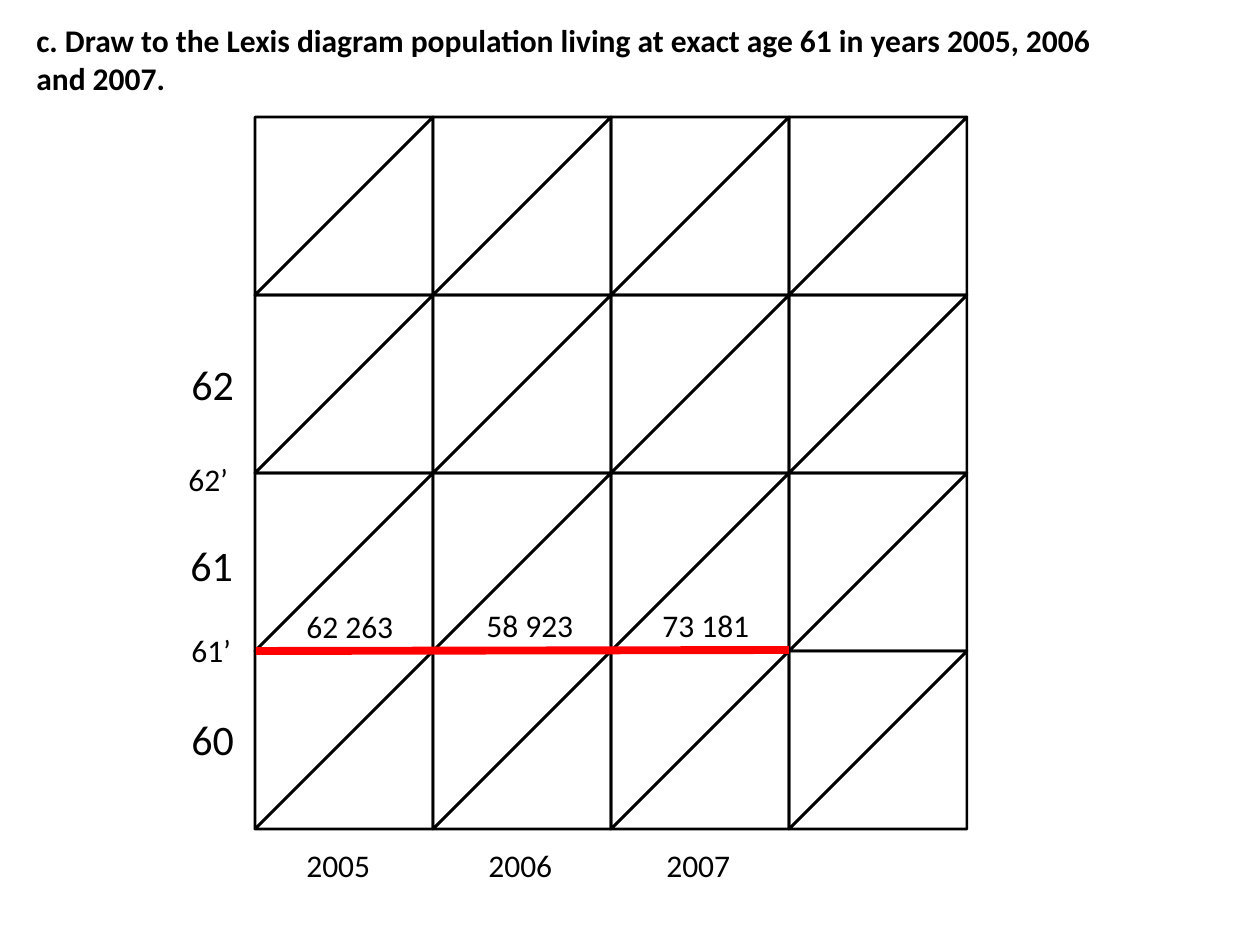
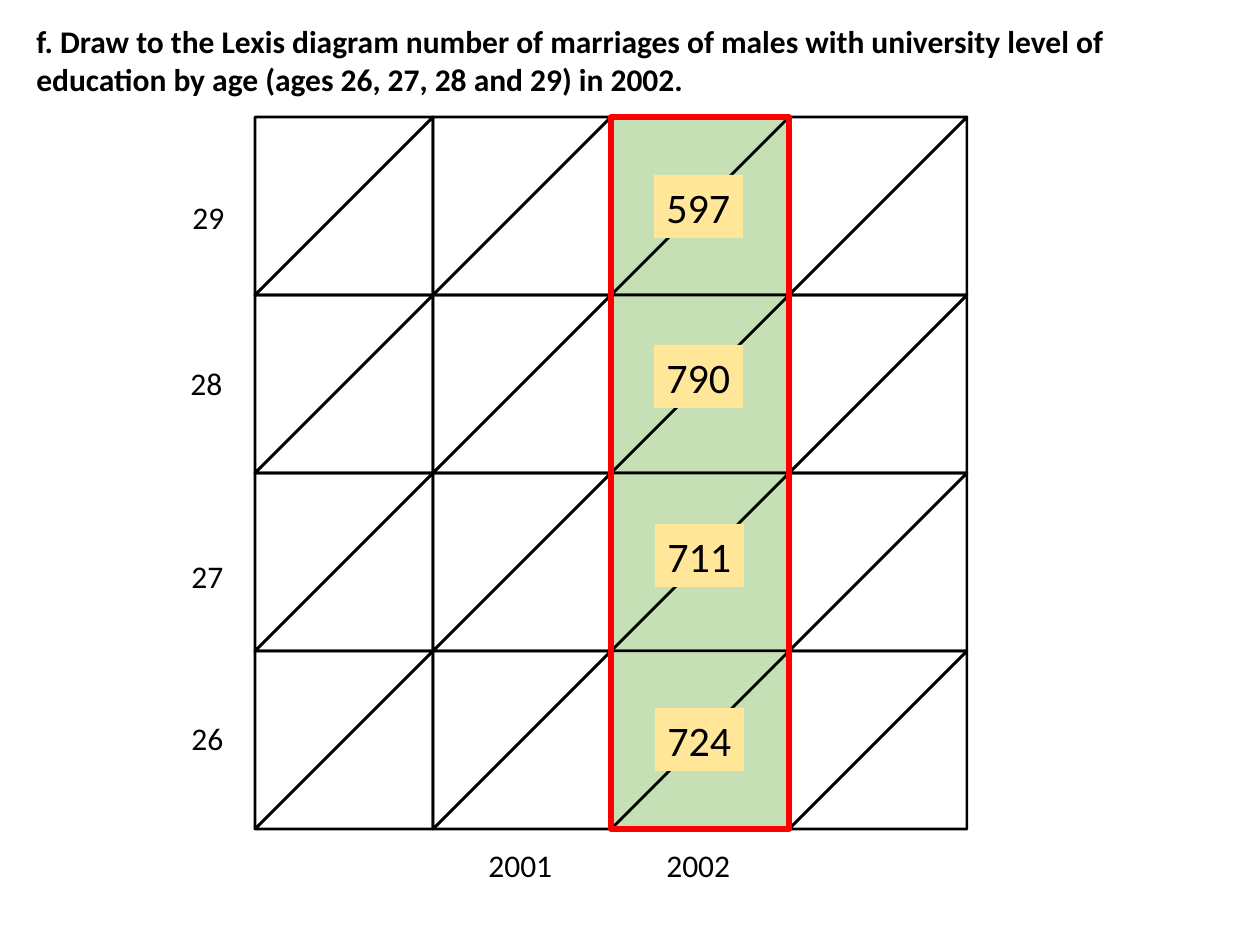
from lxml import etree
from pptx import Presentation
from pptx.dml.color import RGBColor
from pptx.enum.shapes import MSO_CONNECTOR, MSO_SHAPE
from pptx.enum.text import MSO_AUTO_SIZE
from pptx.oxml.ns import qn
from pptx.util import Emu, Pt

TRIANGLE = MSO_SHAPE.RIGHT_TRIANGLE
RECTANGLE = MSO_SHAPE.RECTANGLE
STRAIGHT = MSO_CONNECTOR.STRAIGHT
FIT_SHAPE = MSO_AUTO_SIZE.SHAPE_TO_FIT_TEXT

PX_PER_INCH = 126
BLACK, RED, GREEN, YELLOW = "000000", "FF0000", "C5E0B4", "FFE699"
GRID_LEFT, GRID_TOP, CELL, CELL_COUNT = 255, 117, 178, 4
YEAR_TOP = 840


def px(length):
    return Emu(round(length * 914400 / PX_PER_INCH))


def color(hex_string):
    return RGBColor.from_string(hex_string)


class LexisDeck:
    """Holds the text style and the slide being drawn."""

    font = "Calibri"

    def __init__(self):
        self.deck = Presentation()
        self.deck.slide_width = px(10 * PX_PER_INCH)
        self.deck.slide_height = px(945)
        self.page = None

    def new_page(self):
        self.page = self.deck.slides.add_slide(self.deck.slide_layouts[6])

    def text(self, words, left, top, width, height, size=18, bold=False, wrap=False, fill=None):
        box = self.page.shapes.add_textbox(px(left), px(top), px(width), px(height))
        if fill:
            box.fill.solid()
            box.fill.fore_color.rgb = color(fill)
        frame = box.text_frame
        frame.text = words
        frame.word_wrap = wrap
        frame.auto_size = FIT_SHAPE
        font = frame.paragraphs[0].runs[0].font
        font.name, font.size, font.bold = self.font, Pt(size), bold
        font.color.rgb = color(BLACK)

    def title(self, words, top):
        self.text(words, 24, top, 1094, 89, bold=True, wrap=True)

    def year(self, words, left):
        self.text(words, left, YEAR_TOP, 89, 50)

    def shape(self, kind, left, top, width, height, line, weight, fill=None, rotation=0):
        shape = self.page.shapes.add_shape(kind, px(left), px(top), px(width), px(height))
        shape.shadow.inherit = False
        shape.rotation = rotation
        if fill:
            shape.fill.solid()
            shape.fill.fore_color.rgb = color(fill)
        else:
            shape.fill.background()
        shape.line.color.rgb = color(line)
        shape.line.width = Pt(weight)

    def line(self, start, end, line, weight):
        connector = self.page.shapes.add_connector(STRAIGHT, *map(px, start + end))
        connector.line.color.rgb = color(line)
        connector.line.width = Pt(weight)
        etree.SubElement(connector._element.spPr, qn("a:effectLst"))

    def lexis_grid(self, filled_column=None):
        """Draws square cells, each split by a rising diagonal into two triangles."""
        for column in range(CELL_COUNT):
            fill = GREEN if column == filled_column else None
            for row in range(CELL_COUNT):
                left, top = GRID_LEFT + column * CELL, GRID_TOP + row * CELL
                for rotation in (270, 90):
                    self.shape(TRIANGLE, left, top, CELL, CELL, BLACK, 1.5, fill, rotation)


def draw_population(lexis):
    lexis.new_page()
    lexis.lexis_grid()
    lexis.title("c. Draw to the Lexis diagram population living at exact age 61 "
                "in years 2005, 2006 and 2007.", 15)
    for age, left, top in (("60", 179, 707), ("61", 178, 533), ("62", 179, 352)):
        lexis.text(age, left, top, 68, 63, size=24)
    for exact_age, left, top in (("61’", 179, 625), ("62’", 176, 454)):
        lexis.text(exact_age, left, top, 66, 50)
    lexis.line((789, 650), (256, 651), RED, 4.5)
    for year, year_left, population, left, top in (
        ("2005", 294, "62 263", 294, 601),
        ("2006", 476, "58 923", 474, 600),
        ("2007", 654, "73 181", 650, 600),
    ):
        lexis.year(year, year_left)
        lexis.text(population, left, top, 113, 50)


def draw_marriages(lexis):
    lexis.new_page()
    marriage_column = 2
    lexis.lexis_grid(marriage_column)
    lexis.title("f. Draw to the Lexis diagram number of marriages of males with university "
                "level of education by age (ages 26, 27, 28 and 29) in 2002.", 16)
    lexis.year("2001", 476)
    lexis.year("2002", 654)
    for age, age_left, age_top, marriages, left, top in (
        ("26", 179, 713, "724", 655, 708),
        ("27", 179, 551, "711", 655, 524),
        ("28", 178, 358, "790", 654, 345),
        ("29", 180, 192, "597", 654, 175),
    ):
        lexis.text(age, age_left, age_top, 58, 50)
        lexis.text(marriages, left, top, 89, 63, size=24, fill=YELLOW)
    lexis.shape(RECTANGLE, GRID_LEFT + marriage_column * CELL, GRID_TOP,
                CELL, CELL * CELL_COUNT, RED, 3)


def main():
    lexis = LexisDeck()
    draw_population(lexis)
    draw_marriages(lexis)
    lexis.deck.save("out.pptx")


if __name__ == "__main__":
    main()
